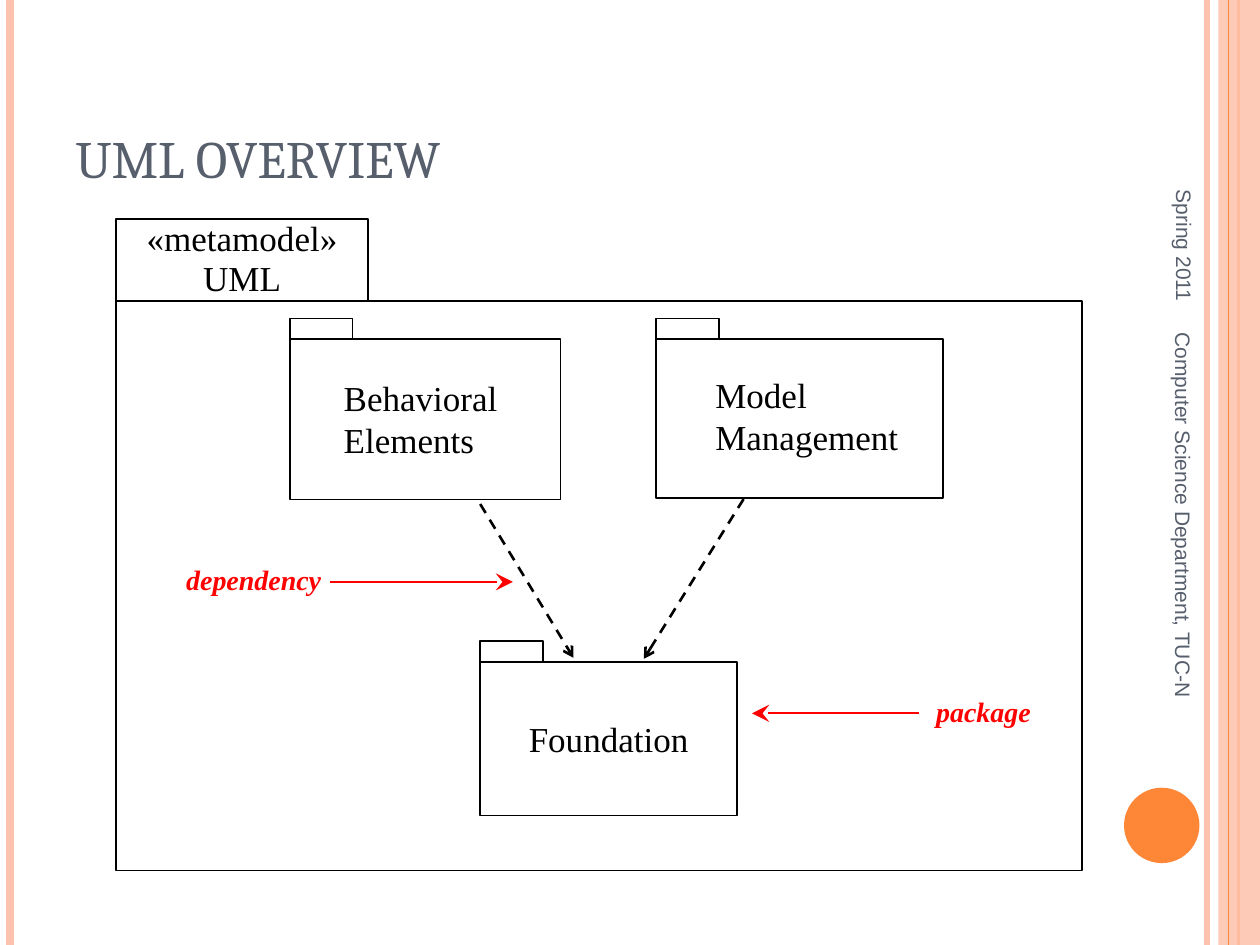
from lxml.etree import SubElement
from pptx import Presentation
from pptx.dml.color import RGBColor
from pptx.enum.dml import MSO_LINE as Dash
from pptx.enum.shapes import MSO_CONNECTOR as Link, MSO_SHAPE as Kind
from pptx.enum.text import MSO_ANCHOR as Anchor, PP_ALIGN as Align
from pptx.oxml.ns import qn
from pptx.util import Cm, Pt

PEACH, ORANGE, SLATE = "FEC3AE", "FE8637", "575F6D"
BLACK, WHITE, RED = "000000", "FFFFFF", "FF0000"
WIDE, HIGH = 25.4, 19.05
SERIF = "Times New Roman"

TITLE = "UML OVERVIEW"
STRIPES = [(24.33, PEACH, 3), (0.2, PEACH, 4.5), (24.97, ORANGE, 1.5)]
EDGE = (24.77, ORANGE, 0.75)
BAND = (24.56, 0, 0.84, HIGH)
DOT = (22.66, 15.88, 1.52, 1.52)
SIDE = [
    ("Spring 2011", (21.08, 3, 5.59, 1.07), Align.RIGHT),
    ("Computer Science Department, TUC-N", (19.41, 10.39, 8.89, 1.02), Align.LEFT),
]
FRAME = (2.34, 6.07, 19.48, 11.48)
FRAME_TAB, TAB = (5.08, 1.65), (1.27, 0.42)
HEADS = [("«metamodel»", 4.24), ("UML", 5.04)]
FOLDERS = [
    ("Foundation", (9.68, 13.34, 5.18, 3.1), (10.41, 14.34, 3.73, 1.12)),
    ("Model \vManagement", (13.22, 6.84, 5.79, 3.2), (14.17, 7.4, 4.19, 1.96)),
    ("Behavioral\nElements", (5.84, 6.84, 5.46, 3.23), (6.68, 7.47, 3.78, 1.96)),
]
DEPENDS = [(9.68, 10.16, 11.56, 13.26), (14.99, 10.06, 12.98, 13.28)]
NOTES = [
    ("dependency", (3.5, 11.2, 3.23, 0.94), (6.65, 11.73, 10.34, 11.73)),
    ("package", (18.62, 13.87, 2.41, 0.94), (18.52, 14.38, 15.16, 14.38)),
]


def paint(target, color):
    target.solid()
    target.fore_color.rgb = RGBColor.from_string(color)


def clear(shape, percent):
    fill = shape._element.spPr.find(qn("a:solidFill"))
    SubElement(fill[0], qn("a:alpha"), val=str(percent * 1000))


def add_box(slide, place, fill=None, line=None, kind=Kind.RECTANGLE):
    box = slide.shapes.add_shape(kind, *map(Cm, place))
    box.shadow.inherit = False
    if fill:
        paint(box.fill, fill)
    else:
        box.fill.background()
    if line:
        paint(box.line.fill, line)
        box.line.width = Pt(1)
    else:
        box.line.fill.background()
    return box


def add_folder(slide, body, tab, fill=None):
    left, top = body[:2]
    add_box(slide, body, fill, BLACK)
    add_box(slide, (left, top - tab[1], *tab), fill, BLACK)


def add_line(slide, ends, color, width, head=None, size="med", dash=None):
    line = slide.shapes.add_connector(Link.STRAIGHT, *map(Cm, ends))
    paint(line.line.fill, color)
    line.line.width = Pt(width)
    if dash:
        line.line.dash_style = dash
    if head:
        stroke = line.line._get_or_add_ln()
        SubElement(stroke, qn("a:tailEnd"), type=head, w=size, len=size)
    SubElement(line._element.spPr, qn("a:effectLst"))


def add_stripe(slide, x, color, width):
    add_line(slide, (x, 0, x, HIGH), color, width)


def write(shape, text, size=20, face=SERIF, color=BLACK, bold=False, italic=False,
          align=Align.LEFT, anchor=Anchor.TOP, wrap=False):
    frame = shape.text_frame
    frame.text = text
    frame.word_wrap = wrap
    frame.vertical_anchor = anchor
    for para in frame.paragraphs:
        para.alignment = align
        for run in para.runs:
            font = run.font
            font.size, font.name = Pt(size), face
            font.bold, font.italic = bold, italic
            font.color.rgb = RGBColor.from_string(color)


def add_text(slide, text, place, turn=0, **style):
    box = slide.shapes.add_textbox(*map(Cm, place))
    box.rotation = turn
    write(box, text, **style)


def main():
    """Build the UML overview slide."""
    deck = Presentation()
    deck.slide_width, deck.slide_height = Cm(WIDE), Cm(HIGH)
    slide = deck.slides.add_slide(deck.slide_layouts[5])

    title = slide.shapes.title
    title.left, title.top, title.width, title.height = map(Cm, (1.27, 0.76, 20.75, 3.18))
    write(title, TITLE, size=30, face="Cambria", color=SLATE, anchor=Anchor.BOTTOM, wrap=True)

    for stripe in STRIPES:
        add_stripe(slide, *stripe)
    clear(add_box(slide, BAND, PEACH), 87)
    add_stripe(slide, *EDGE)
    add_box(slide, DOT, ORANGE, kind=Kind.OVAL)
    for text, place, align in SIDE:
        add_text(slide, text, place, turn=90, size=12, face="Arial", color=SLATE,
                 align=align, anchor=Anchor.MIDDLE, wrap=True)

    add_folder(slide, FRAME, FRAME_TAB, WHITE)
    for text, top in HEADS:
        add_text(slide, text, (FRAME[0], top, FRAME_TAB[0], 1.12),
                 align=Align.CENTER, wrap=True)
    for text, body, place in FOLDERS:
        add_folder(slide, body, TAB)
        add_text(slide, text, place)
    for ends in DEPENDS:
        add_line(slide, ends, BLACK, 1.5, head="arrow", dash=Dash.DASH)
    for text, place, ends in NOTES:
        add_text(slide, text, place, size=16, color=RED, bold=True, italic=True,
                 align=Align.CENTER, anchor=Anchor.MIDDLE)
        add_line(slide, ends, RED, 1, head="stealth", size="lg")

    deck.save("out.pptx")


if __name__ == "__main__":
    main()
